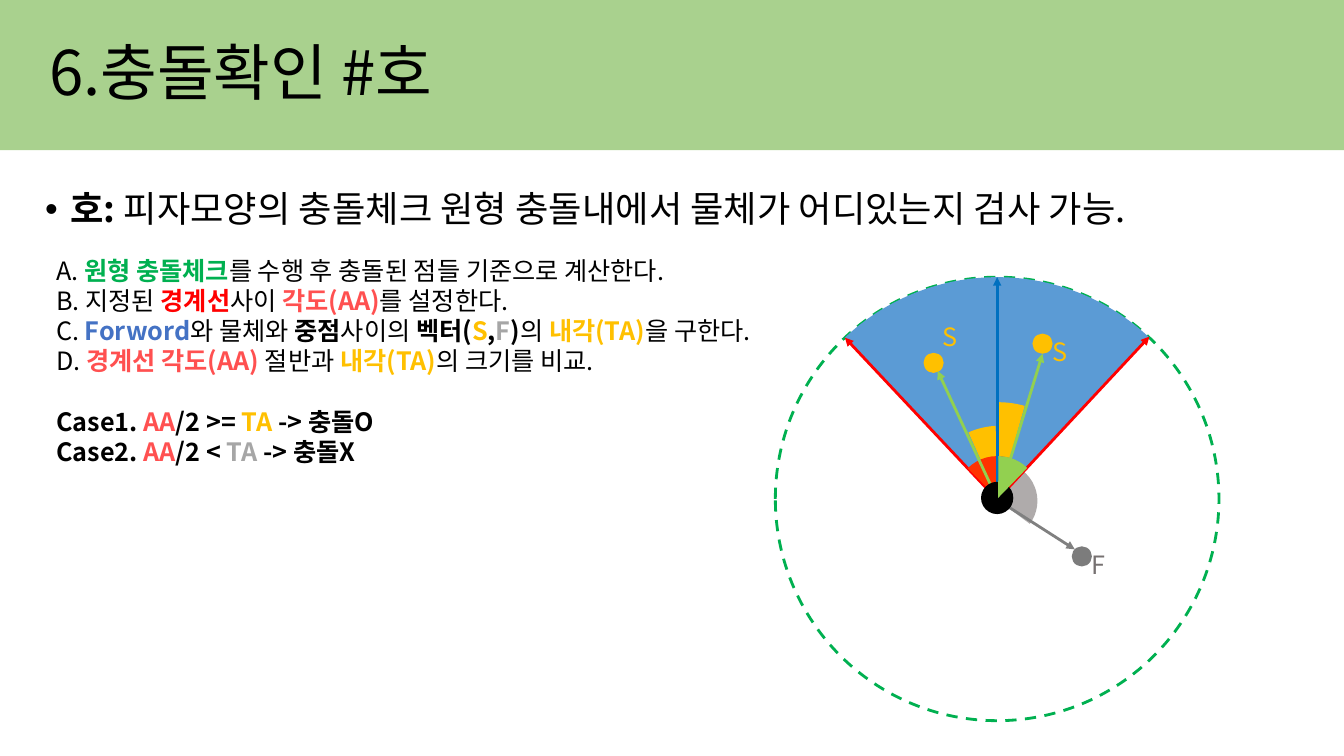
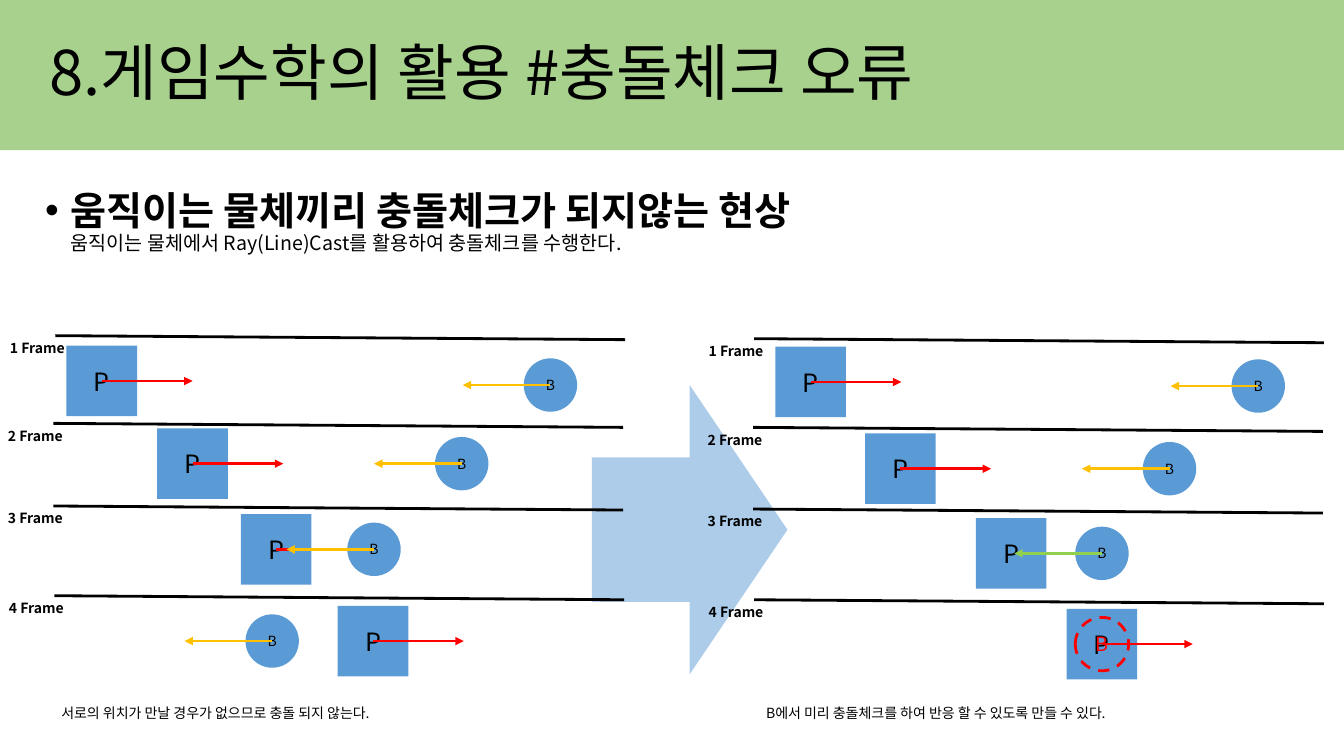
from lxml.etree import SubElement
from pptx import Presentation
from pptx.dml.color import RGBColor
from pptx.enum.dml import MSO_LINE
from pptx.enum.shapes import MSO_CONNECTOR, MSO_SHAPE
from pptx.enum.text import MSO_ANCHOR, PP_ALIGN
from pptx.oxml.ns import qn
from pptx.util import Inches, Pt


# Theme
class Theme:
    font = "Noto Sans CJK KR"
    size = {"title": 44, "head": 28, "lead": 25.9, "text": 18, "sub": 14, "note": 10}
    color = {
        "black": "000000", "band": "A9D18E", "blue": "5B9BD5", "navy": "4472C4",
        "deep": "0070C0", "green": "00B050", "lime": "92D050", "red": "FF0000",
        "rose": "FF5050", "flame": "FF3300", "gold": "FFC000", "silver": "A6A6A6",
        "ash": "AFABAB", "gray": "808080", "dark": "7C7C7C", "stone": "767171",
    }
    line = 2


# Arc slide: runs are (text, color, bold)
ARC_TITLE = "6.충돌확인 #호"
ARC_LEAD = [("호: ", "black", True),
            ("피자모양의 충돌체크 원형 충돌내에서 물체가 어디있는지 검사 가능.", "black", False)]
STEPS = [
    [("A. ", "black", False), ("원형 충돌체크", "green", True),
     ("를 수행 후 충돌된 점들 기준으로 계산한다.", "black", False)],
    [("B. 지정된 ", "black", False), ("경계선", "red", True), ("사이 ", "black", False),
     ("각도(AA)", "rose", True), ("를 설정한다.", "black", False)],
    [("C. ", "black", False), ("Forword", "navy", True), ("와 물체와 ", "black", False),
     ("중점", "black", True), ("사이의 ", "black", False), ("벡터(", "black", True),
     ("S", "gold", True), (",", "black", True), ("F", "silver", True),
     (")", "black", True), ("의 ", "black", False), ("내각(TA)", "gold", True),
     ("을 구한다.", "black", False)],
    [("D. ", "black", False), ("경계선 각도(AA) ", "rose", True),
     ("절반과 ", "black", False), ("내각(TA)", "gold", True),
     ("의 크기를 비교.", "black", False)],
    [("Case1. ", "black", True), ("AA", "rose", True), ("/2 >= ", "black", True),
     ("TA", "gold", True), (" -> 충돌O", "black", True)],
    [("Case2. ", "black", True), ("AA", "rose", True), ("/2 < ", "black", True),
     ("TA", "silver", True), (" -> 충돌X", "black", True)],
]
CASE = 4  # first case line, set off by a gap
RING = (9.89, 4.95, 4.4)

# Diagram parts from back to front
PARTS = [
    ("dot", 10.73, 5.52, 0.2, "dark"),
    ("tag", 10.73, 5.4, "F", "stone"),
    ("arc", *RING, 226.7, 313.3, "blue"),
    ("ray", 9.78, 4.84, 8.38, 3.35, "red"),
    ("dot", 10.34, 3.41, 0.2, "gold"),
    ("tag", 10.34, 3.29, "S", "gold"),
    ("arc", 9.9, 4.95, 1.92, 269.9, 285.9, "gold"),
    ("arc", 9.91, 4.97, 0.76, 269.9, 36.7, "ash"),
    ("ray", 9.91, 4.97, 10.66, 5.45, "gray"),
    ("ray", 10, 4.84, 11.4, 3.34, "red"),
    ("arc", 9.91, 4.97, 1.49, 245.9, 267.2, "gold"),
    ("dot", 9.26, 3.6, 0.2, "gold"),
    ("tag", 9.25, 3.14, "S", "gold"),
    ("arc", 9.89, 4.94, 0.83, 225.1, 314.1, "flame"),
    ("ray", 9.89, 4.79, 9.89, 2.75, "deep"),
    ("ray", 9.9, 4.95, 10.34, 3.51, "lime"),
    ("ray", 9.89, 4.95, 9.3, 3.68, "lime"),
    ("dot", 9.89, 4.94, 0.32, "black"),
    ("arc", 9.9, 4.94, 0.83, 270.4, 314.1, "lime"),
]

# Frame slide: label place, then centers and arrow colors of P and B
BUG_TITLE = "8.게임수학의 활용 #충돌체크 오류"
BUG_LEAD = "움직이는 물체끼리 충돌체크가 되지않는 현상"
BUG_SUB = "움직이는 물체에서 Ray(Line)Cast를 활용하여 충돌체크를 수행한다."
SIDES = [
    [((0, 3.32), (1.01, 3.78, "red"), (5.46, 3.82, "gold")),
     ((-0.02, 4.19), (1.91, 4.6, "red"), (4.58, 4.6, "gold")),
     ((-0.02, 5.01), (2.74, 5.45, "red"), (3.71, 5.45, "gold")),
     ((-0.01, 5.9), (3.7, 6.36, "red"), (2.7, 6.36, "gold"))],
    [((6.93, 3.35), (8.04, 3.79, "red"), (12.48, 3.83, "gold")),
     ((6.92, 4.23), (8.93, 4.65, "red"), (11.6, 4.65, "gold")),
     ((6.92, 5.04), (10.03, 5.49, None), (10.93, 5.49, "lime")),
     ((6.93, 5.94), (10.93, 6.39, "red"), (10.93, 6.39, None))],
]
NOTES = [(0.51, "서로의 위치가 만날 경우가 없으므로 충돌 되지 않는다."),
         (7.5, "B에서 미리 충돌체크를 하여 반응 할 수 있도록 만들 수 있다.")]


# Text helpers
def tint(name):
    return RGBColor.from_string(Theme.color[name])


def write(par, text, size, color="black", bold=False):
    run = par.add_run()
    run.text = text
    form = {"name": Theme.font, "size": Pt(Theme.size[size]), "bold": bold}
    for key, val in form.items():
        setattr(run.font, key, val)
    run.font.color.rgb = tint(color)
    SubElement(run._r.get_or_add_rPr(), qn("a:ea"), typeface=Theme.font)


def label(slide, box, text=None, size="text", color="black", bold=False):
    frame = slide.shapes.add_textbox(*map(Inches, box)).text_frame
    frame.word_wrap = True
    if text:
        write(frame.paragraphs[0], text, size, color, bold)
    return frame


def bullet(slide, high):
    par = label(slide, (0.35, 1.85, 12.62, high)).paragraphs[0]
    props = par._p.get_or_add_pPr()
    props.set("marL", str(Inches(0.25)))
    props.set("indent", str(-Inches(0.25)))
    SubElement(props, qn("a:buFont"), typeface="Arial")
    SubElement(props, qn("a:buChar"), char="•")
    par.line_spacing = 0.9
    return par


# Shape helpers
def solid(slide, kind, box, fill=None, edge=None):
    item = slide.shapes.add_shape(kind, *map(Inches, box))
    item.shadow.inherit = False
    if fill:
        item.fill.solid()
        item.fill.fore_color.rgb = tint(fill)
    else:
        item.fill.background()
    if edge:
        item.line.color.rgb = tint(edge)
        item.line.width = Pt(Theme.line)
        item.line.dash_style = MSO_LINE.DASH
    else:
        item.line.fill.background()
    return item


def around(x, y, size):
    return x - size / 2, y - size / 2, size, size


def line(slide, ends, color="black", head=False):
    item = slide.shapes.add_connector(MSO_CONNECTOR.STRAIGHT, *map(Inches, ends))
    item.line.color.rgb = tint(color)
    item.line.width = Pt(Theme.line)
    props = item._element.spPr
    if head:
        SubElement(props.find(qn("a:ln")), qn("a:tailEnd"), type="triangle")
    SubElement(props, qn("a:effectLst"))


def dot(slide, x, y, size, color):
    solid(slide, MSO_SHAPE.OVAL, around(x, y, size), color)


def tag(slide, x, y, text, color):
    label(slide, (x, y, 0.54, 0.4), text, "text", color)


def arc(slide, x, y, size, start, stop, color):
    item = solid(slide, MSO_SHAPE.ARC, around(x, y, size), color)
    for i, angle in enumerate((start, stop)):
        item.adjustments[i] = angle * 0.6  # 60000 units a degree, scaled by 100000


def ray(slide, *spec_line):
    *ends, color = spec_line
    line(slide, ends, color, True)


def token(slide, kind, spot, size, text, style, fill="blue", edge=None, ink="black"):
    item = solid(slide, kind, around(*spot, size), fill, edge)
    frame = item.text_frame
    frame.vertical_anchor = MSO_ANCHOR.MIDDLE
    frame.paragraphs[0].alignment = PP_ALIGN.CENTER
    write(frame.paragraphs[0], text, style, ink)


# Shared band and title
def banner(slide, title):
    solid(slide, MSO_SHAPE.RECTANGLE, (0, 0, 13.33, 1.49), "band")
    frame = label(slide, (0.39, 0.02, 12.86, 1.45), title, "title")
    frame.vertical_anchor = MSO_ANCHOR.MIDDLE
    frame.paragraphs[0].line_spacing = 0.9


def arc_slide(slide):
    banner(slide, ARC_TITLE)
    lead = bullet(slide, 0.61)
    for text, color, bold in ARC_LEAD:
        write(lead, text, "lead", color, bold)
    frame = label(slide, (0.46, 2.48, 12.4, 2.83))
    for i, runs in enumerate(STEPS):
        par = frame.add_paragraph() if i else frame.paragraphs[0]
        if i == CASE:
            par.space_before = Pt(21.6)
        for text, color, bold in runs:
            write(par, text, "text", color, bold)
    solid(slide, MSO_SHAPE.OVAL, around(*RING), edge="green")
    draw = {"dot": dot, "tag": tag, "arc": arc, "ray": ray}
    for kind, *args in PARTS:
        draw[kind](slide, *args)


def bug_slide(slide):
    arrow = solid(slide, MSO_SHAPE.RIGHT_ARROW, (5.87, 3.82, 1.94, 2.87), "blue")
    shade = arrow._element.spPr.find(qn("a:solidFill"))[0]
    SubElement(shade, qn("a:alpha"), val="50000")
    banner(slide, BUG_TITLE)
    lead = bullet(slide, 1.04)
    write(lead, BUG_LEAD, "head", bold=True)
    lead.add_line_break()
    write(lead, BUG_SUB, "sub")
    for rows, (left, note) in zip(SIDES, NOTES):
        for num, ((x, y), (px, py, pink), (bx, by, bink)) in enumerate(rows, 1):
            label(slide, (x, y, 0.82, 0.27), f"{num} Frame", "note", bold=True)
            line(slide, (x + 0.55, y + 0.01, x + 6.2, y + 0.05))
            token(slide, MSO_SHAPE.RECTANGLE, (px, py), 0.7, "P", "text")
            if pink:
                line(slide, (px, py, px + 0.9, py), pink, True)
            if bink:
                token(slide, MSO_SHAPE.OVAL, (bx, by), 0.53, "B", "note")
                line(slide, (bx, by, bx - 0.87, by), bink, True)
            else:
                token(slide, MSO_SHAPE.OVAL, (bx, by), 0.53, "B", "sub", None, "red", "red")
        label(slide, (left, 6.94, 5.42, 0.27), note, "note")


def main():
    deck = Presentation()
    deck.slide_width, deck.slide_height = Inches(13.33), Inches(7.5)
    for build in (arc_slide, bug_slide):
        build(deck.slides.add_slide(deck.slide_layouts[6]))
    deck.save("out.pptx")


if __name__ == "__main__":
    main()
